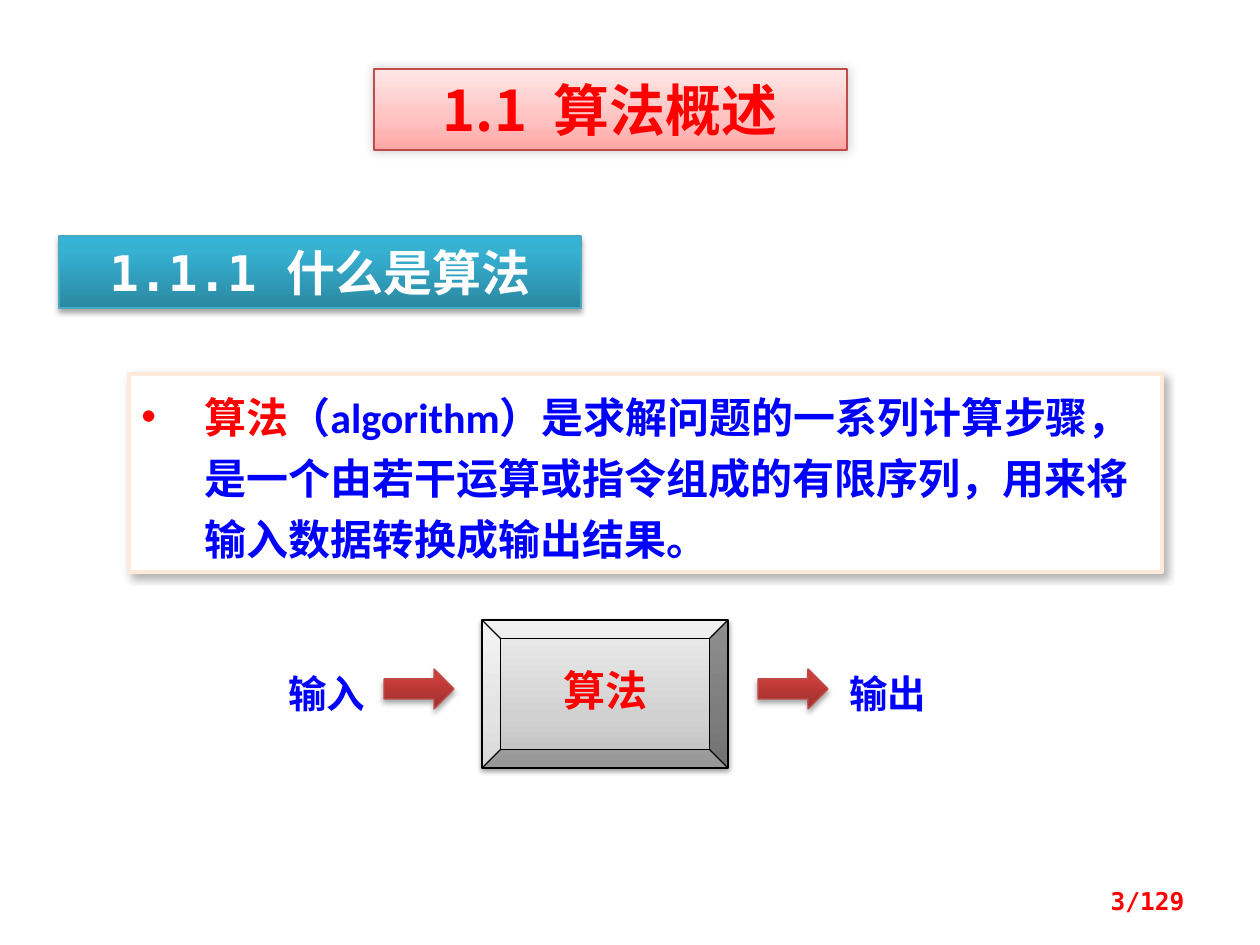
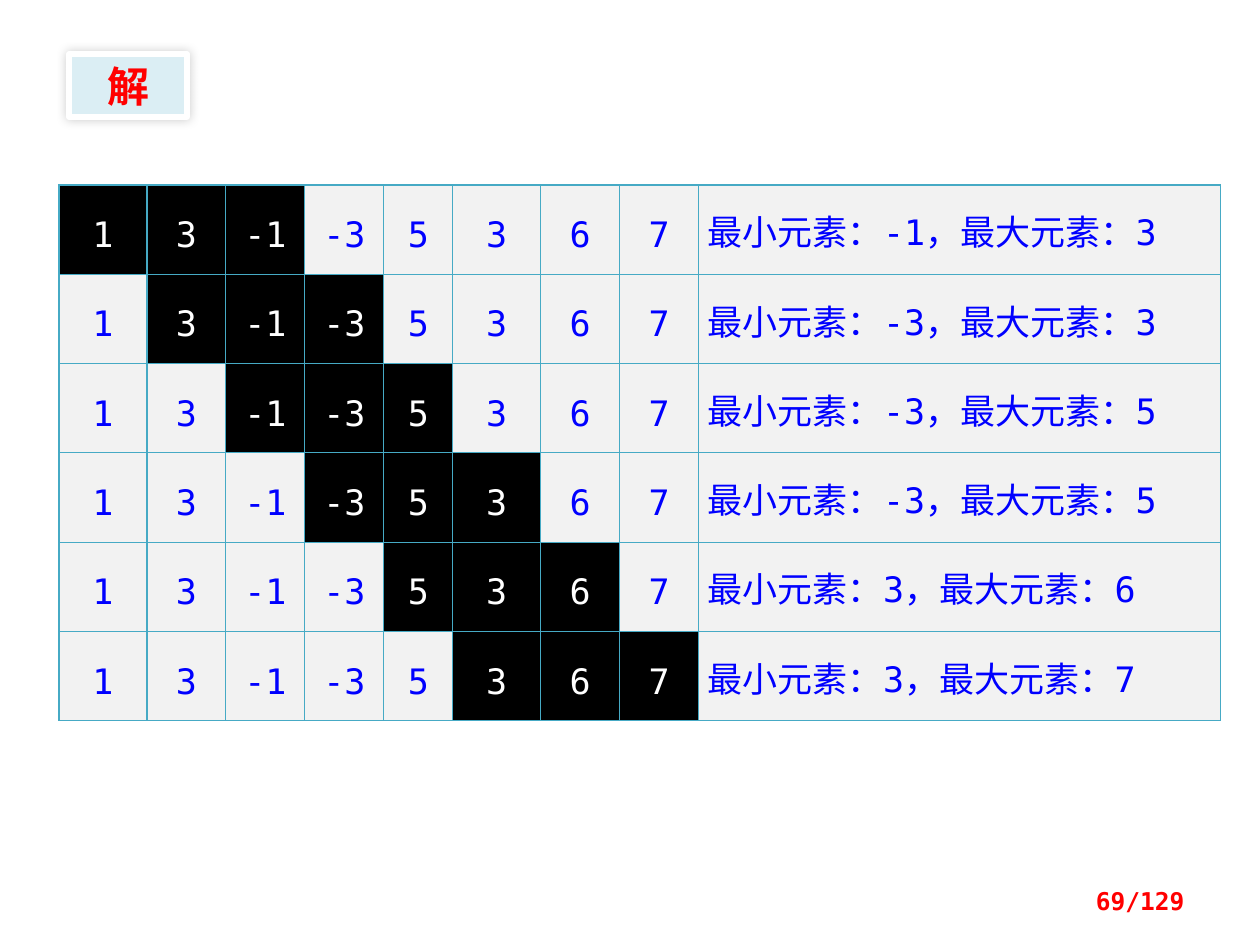
from copy import deepcopy
from dataclasses import dataclass
from typing import NamedTuple, Optional, Union

from lxml.etree import SubElement
from pptx import Presentation
from pptx.dml.color import RGBColor
from pptx.enum.shapes import MSO_SHAPE as Preset
from pptx.enum.text import MSO_ANCHOR as Anchor, PP_ALIGN as Align
from pptx.oxml import parse_xml
from pptx.oxml.ns import nsdecls, qn
from pptx.shapes.autoshape import Shape
from pptx.slide import Slide
from pptx.table import _Cell as Cell
from pptx.text.text import TextFrame
from pptx.util import Emu, Pt

# Scale: 126 px to the inch
PX_PER_INCH = 126
PAGE_COUNT = 129

# Colours
RED = RGBColor(0xFF, 0x00, 0x00)
BLUE = RGBColor(0x00, 0x00, 0xFF)
WHITE = RGBColor(0xFF, 0xFF, 0xFF)
BLACK = RGBColor(0x00, 0x00, 0x00)
PEACH = RGBColor(0xFD, 0xEA, 0xDA)
BRICK = RGBColor(0xBF, 0x4C, 0x48)
TEAL = RGBColor(0x46, 0xAA, 0xC5)
PALE_TEAL = RGBColor(0xDB, 0xEE, 0xF4)
PALE_GREY = RGBColor(0xF2, 0xF2, 0xF2)

# Fonts
HAN = "Noto Sans CJK SC"
MONO = "DejaVu Sans Mono"
BODY = "Calibri"


class Stop(NamedTuple):
    position: float
    color: RGBColor


class Shadow(NamedTuple):
    alpha: int
    blur: float
    distance: float
    angle: int


class Span(NamedTuple):
    text: str
    size: int
    color: RGBColor
    font: str = HAN
    bold: bool = True
    spacing: int = 0


Paint = Union[RGBColor, tuple[Stop, ...]]


@dataclass(frozen=True)
class Panel:
    left: int
    top: int
    width: int
    height: int
    fill: Paint
    line: RGBColor
    shadow: Shadow
    spans: tuple[Span, ...] = ()
    preset: Preset = Preset.RECTANGLE
    line_width: float = 0.75
    anchor: Anchor = Anchor.TOP
    align: Align = Align.CENTER
    line_spacing: Union[float, Pt, None] = None
    bullet_indent: int = 0


@dataclass(frozen=True)
class Label:
    left: int
    top: int
    width: int
    height: int
    span: Span
    align: Align = Align.LEFT
    anchor: Anchor = Anchor.TOP


def rising(*stops: tuple[float, str]) -> tuple[Stop, ...]:
    return tuple(Stop(at, RGBColor.from_string(color)) for at, color in stops)


# Gradients run from the bottom edge up
PINK_FADE = rising((0, "FFA6A5"), (0.35, "FFC0BF"), (1, "FFE7E7"))
TEAL_FADE = rising((0, "2A88A2"), (0.8, "37B1D2"), (1, "34B4D6"))
RED_FADE = rising((0, "9C2F2D"), (0.8, "CB3E3A"), (1, "CE3B37"))
GREY_FADE = rising((0, "BDBDBD"), (0.35, "D1D1D1"), (1, "EEEEEE"))

DROP = Shadow(35, 3.1, 1.8, 90)
HALO = Shadow(20, 6, 0, 315)


def px(length: int) -> Emu:
    return Emu(round(length * 914400 / PX_PER_INCH))


def frame(item: Union[Panel, Label]) -> tuple[Emu, ...]:
    return tuple(px(n) for n in (item.left, item.top, item.width, item.height))


def write(text: TextFrame, spans: tuple[Span, ...], align: Align,
          line_spacing: Union[float, Pt, None] = None, bullet_indent: int = 0) -> None:
    paragraph = text.paragraphs[0]
    layout = {"alignment": align, "line_spacing": line_spacing}
    for name, value in layout.items():
        setattr(paragraph, name, value)
    if bullet_indent:
        props = paragraph._p.get_or_add_pPr()
        props.set("marL", str(px(bullet_indent)))
        props.set("indent", str(-px(bullet_indent)))
        SubElement(props, qn("a:buFont"), typeface="Arial")
        SubElement(props, qn("a:buChar"), char="•")
    for span in spans:
        run = paragraph.add_run()
        run.text = span.text
        style = {"size": Pt(span.size), "name": span.font, "bold": span.bold}
        for name, value in style.items():
            setattr(run.font, name, value)
        run.font.color.rgb = span.color
        props = run._r.get_or_add_rPr()
        props.set("lang", "zh-CN")
        if span.spacing:
            props.set("spc", str(span.spacing * 100))
        SubElement(props, qn("a:ea"), typeface=HAN)


def paint(shape: Shape, fill: Paint) -> None:
    if isinstance(fill, RGBColor):
        shape.fill.solid()
        shape.fill.fore_color.rgb = fill
        return
    shape.fill.gradient()
    shape.fill.gradient_angle = 90
    stops = shape._element.spPr.find(".//" + qn("a:gsLst"))
    while len(stops) < len(fill):
        stops.append(deepcopy(stops[0]))
    for target, stop in zip(shape.fill.gradient_stops, fill):
        target.position = stop.position
        target.color.rgb = stop.color


def cast(shape: Shape, shadow: Shadow) -> None:
    shape.shadow.inherit = False
    effects = shape._element.spPr.find(qn("a:effectLst"))
    outer = SubElement(effects, qn("a:outerShdw"), blurRad=str(Pt(shadow.blur)),
                       dist=str(Pt(shadow.distance)), dir=str(shadow.angle * 60000),
                       rotWithShape="0")
    color = SubElement(outer, qn("a:srgbClr"), val=str(BLACK))
    SubElement(color, qn("a:alpha"), val=str(shadow.alpha * 1000))


def draw_panel(slide: Slide, panel: Panel) -> None:
    shape = slide.shapes.add_shape(panel.preset, *frame(panel))
    paint(shape, panel.fill)
    shape.line.color.rgb = panel.line
    shape.line.width = Pt(panel.line_width)
    cast(shape, panel.shadow)
    if panel.spans:
        shape.text_frame.word_wrap = True
        shape.text_frame.vertical_anchor = panel.anchor
        write(shape.text_frame, panel.spans, panel.align,
              panel.line_spacing, panel.bullet_indent)


def draw_label(slide: Slide, label: Label) -> None:
    text = slide.shapes.add_textbox(*frame(label)).text_frame
    text.word_wrap = True
    text.vertical_anchor = label.anchor
    write(text, (label.span,), label.align)


def draw_page_number(slide: Slide, page: int) -> None:
    number = Span(f"{page}/{PAGE_COUNT}", 14, RED, MONO)
    draw_label(slide, Label(903, 876, 294, 50, number, Align.RIGHT, Anchor.MIDDLE))


def outline(cell: Cell, color: RGBColor) -> None:
    props = cell._tc.get_or_add_tcPr()
    for index, side in enumerate(("lnL", "lnR", "lnT", "lnB")):
        props.insert(index, parse_xml(
            f'<a:{side} {nsdecls("a")} w="{Pt(0.75)}"><a:solidFill>'
            f'<a:srgbClr val="{color}"/></a:solidFill></a:{side}>'))


# Slide content
DEFINITION = Panel(
    129, 374, 1033, 198, WHITE, PEACH, Shadow(30, 4.5, 2.6, 53),
    (Span("算法", 24, RED),
     Span("（algorithm）是求解问题的一系列计算步骤，是一个由若干运算或指令组成的"
          "有限序列，用来将输入数据转换成输出结果。", 24, BLUE, BODY)),
    line_width=2, align=Align.LEFT, line_spacing=Pt(35), bullet_indent=63)
ALGORITHM = Panel(
    482, 620, 246, 148, GREY_FADE, BLACK, Shadow(38, 3.1, 1.6, 90),
    (Span("算法", 24, RED),), Preset.BEVEL, anchor=Anchor.MIDDLE, line_spacing=0.8)
SECTION = Panel(59, 236, 522, 72, TEAL_FADE, TEAL, DROP,
                (Span("1.1.1 什么是算法", 28, WHITE, MONO),))
CHAPTER = Panel(374, 69, 473, 81, PINK_FADE, BRICK, HALO,
                (Span("1.1", 32, RED), Span(" ", 32, RED, spacing=8),
                 Span("算法概述", 32, RED)))
SOLUTION = Panel(69, 54, 118, 63, PALE_TEAL, WHITE, Shadow(20, 6, 0, 225),
                 (Span("解", 24, RED, MONO),), line_width=3)
FLOW_ARROWS = tuple(
    Panel(left, 669, 70, 40, RED_FADE, BRICK, DROP, preset=Preset.RIGHT_ARROW)
    for left in (384, 758))
FLOW_ENDS = tuple(
    Label(left, 664, 137, 59, Span(word, 22, BLUE))
    for left, word in ((276, "输入"), (837, "输出")))

SEQUENCE = (1, 3, -1, -3, 5, 3, 6, 7)
WINDOW = 3
COLUMN_WIDTHS = (88, 79, 79, 79, 69, 88, 79, 79, 522)
TABLE_HEIGHT = 536


def fill_cell(cell: Cell, text: str, in_window: bool, align: Align) -> None:
    cell.fill.solid()
    cell.fill.fore_color.rgb = BLACK if in_window else PALE_GREY
    outline(cell, TEAL)
    layout = {"margin_left": px(9), "margin_right": px(9), "margin_top": 0,
              "margin_bottom": 0, "vertical_anchor": Anchor.MIDDLE}
    for name, value in layout.items():
        setattr(cell, name, value)
    span = Span(text, 20, WHITE if in_window else BLUE, MONO, bold=False)
    write(cell.text_frame, (span,), align, Pt(30))


def draw_window_table(slide: Slide) -> None:
    steps = len(SEQUENCE) - WINDOW + 1
    table = slide.shapes.add_table(steps, len(COLUMN_WIDTHS), px(59), px(185),
                                   px(sum(COLUMN_WIDTHS)), px(TABLE_HEIGHT)).table
    table.first_row = table.horz_banding = False
    for column, width in zip(table.columns, COLUMN_WIDTHS):
        column.width = px(width)
    for start, row in enumerate(table.rows):
        row.height = px(TABLE_HEIGHT) // steps
        window = SEQUENCE[start:start + WINDOW]
        for place, value in enumerate(SEQUENCE):
            fill_cell(table.cell(start, place), str(value),
                      start <= place < start + WINDOW, Align.CENTER)
        summary = f"最小元素：{min(window)}，最大元素：{max(window)}"
        fill_cell(table.cell(start, len(SEQUENCE)), summary, False, Align.JUSTIFY)


def main() -> None:
    deck = Presentation()
    deck.slide_width, deck.slide_height = px(1260), px(945)
    blank = deck.slide_layouts[6]

    # What an algorithm is
    overview = deck.slides.add_slide(blank)
    for panel in (DEFINITION, ALGORITHM, *FLOW_ARROWS, SECTION, CHAPTER):
        draw_panel(overview, panel)
    for end in FLOW_ENDS:
        draw_label(overview, end)
    draw_page_number(overview, 3)

    # Sliding window solution
    solution = deck.slides.add_slide(blank)
    draw_window_table(solution)
    draw_panel(solution, SOLUTION)
    draw_page_number(solution, 69)

    deck.save("out.pptx")


if __name__ == "__main__":
    main()
